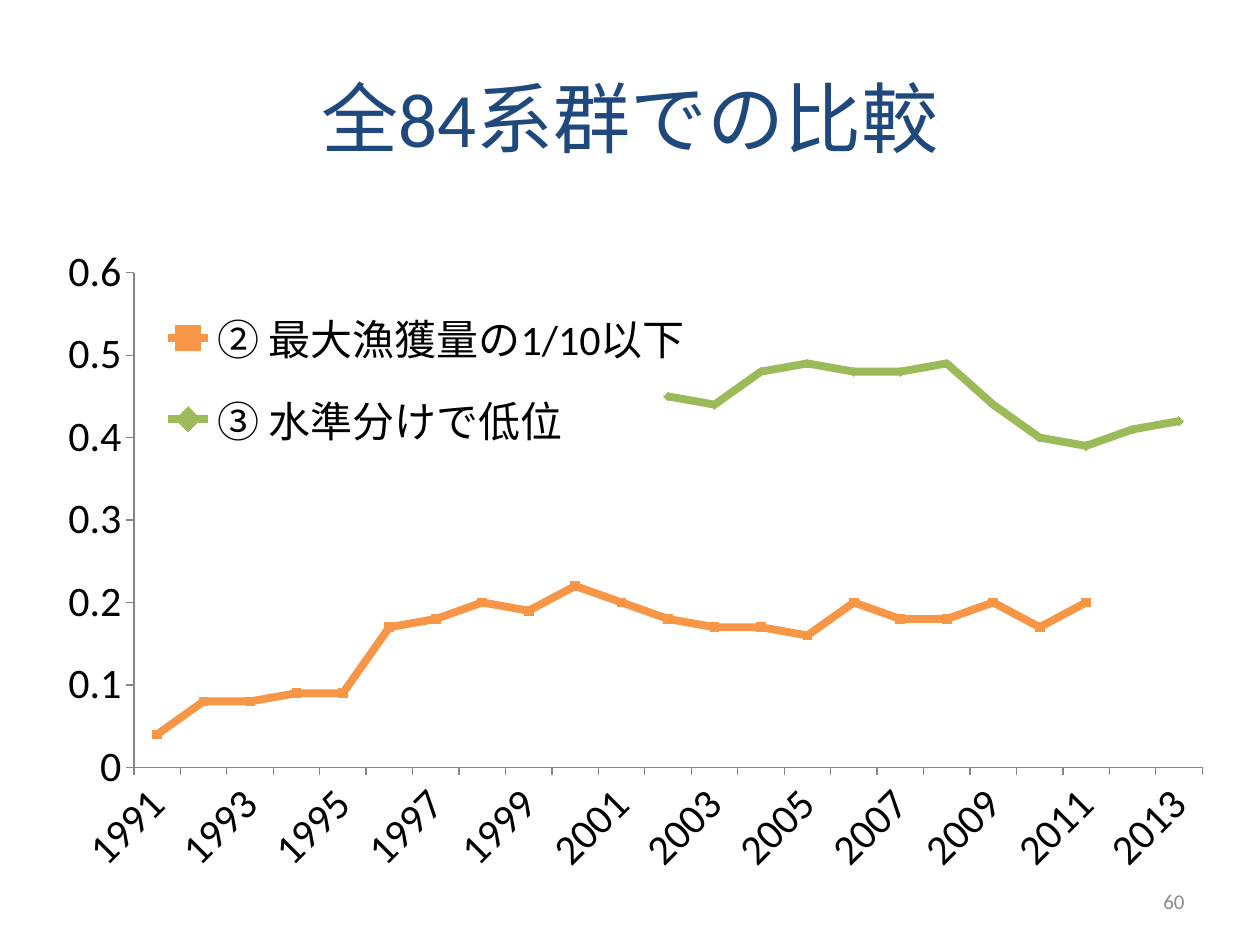
"""Build the slide comparing two depletion measures over all 84 stocks."""
from lxml.etree import SubElement
from pptx import Presentation
from pptx.chart.data import CategoryChartData
from pptx.dml.color import RGBColor
from pptx.enum.chart import XL_CHART_TYPE as ChartType, XL_LEGEND_POSITION as LegendPosition
from pptx.enum.chart import XL_MARKER_STYLE as Marker, XL_TICK_MARK as Tick
from pptx.enum.text import MSO_ANCHOR as Anchor, PP_ALIGN as Align
from pptx.oxml.ns import qn
from pptx.util import Cm, Pt

COLORS = {"title": "1F497D", "number": "8C8C8C", "text": "000000", "axis": "868686",
          "catch": "F79646", "level": "9BBB59"}
FONT = "Calibri"


def style(font, size, color):
    font.name = FONT
    font.size = Pt(size)
    font.color.rgb = RGBColor.from_string(COLORS[color])


def place(element, index, **fractions):
    for old in element.findall(qn("c:layout")):
        element.remove(old)
    layout = element.makeelement(qn("c:layout"), {})
    element.insert(index, layout)
    manual = SubElement(layout, qn("c:manualLayout"))
    for tag, value in fractions.items():
        SubElement(manual, qn(f"c:{tag}")).set("val", str(value))


prs = Presentation()
prs.slide_width, prs.slide_height = Cm(25.4), Cm(19.05)
slide = prs.slides.add_slide(prs.slide_layouts[5])

title = slide.shapes.title
title.left, title.top, title.width, title.height = Cm(1.27), Cm(0.76), Cm(22.86), Cm(3.18)
title.text_frame.text = "全84系群での比較"
title.text_frame.vertical_anchor = Anchor.MIDDLE
heading = title.text_frame.paragraphs[0]
heading.alignment = Align.CENTER
style(heading.runs[0].font, 44, "title")

page_number = slide.shapes.add_textbox(Cm(18.21), Cm(17.65), Cm(5.92), Cm(1.02)).text_frame
page_number.word_wrap = True
page_number.vertical_anchor = Anchor.MIDDLE
page_number.text = "60"
page_number.paragraphs[0].alignment = Align.RIGHT
style(page_number.paragraphs[0].runs[0].font, 12, "number")

level_share = [None] * 11 + [0.45, 0.44, 0.48, 0.49, 0.48, 0.48, 0.49, 0.44, 0.4, 0.39,
                             0.41, 0.42]
catch_share = [0.04, 0.08, 0.08, 0.09, 0.09, 0.17, 0.18, 0.2, 0.19, 0.22, 0.2, 0.18,
               0.17, 0.17, 0.16, 0.2, 0.18, 0.18, 0.2, 0.17, 0.2, None, None]
data = CategoryChartData()
data.categories = [str(year) for year in range(1991, 2014)]
data.add_series("③ 水準分けで低位", level_share)
data.add_series("② 最大漁獲量の1/10以下", catch_share)

chart = slide.shapes.add_chart(ChartType.LINE_MARKERS, Cm(0.89), Cm(4.72), Cm(23.8), Cm(13.21),
                               data).chart
chart.has_title = False
style(chart.font, 24, "text")
place(chart.plots[0]._element.getparent(), 0, layoutTarget="inner", xMode="edge", yMode="edge",
      x=0.076, y=0.059, w=0.905, h=0.755)

chart.plots[0].vary_by_categories = False
markers = [("level", Marker.DIAMOND), ("catch", Marker.SQUARE)]
for series, (measure, marker) in zip(chart.plots[0].series, markers):
    color = RGBColor.from_string(COLORS[measure])
    series.smooth = False
    series.format.line.width = Pt(4.5)
    series.format.line.color.rgb = color
    series.marker.style = marker
    series.marker.size = 5
    series.marker.format.fill.solid()
    series.marker.format.fill.fore_color.rgb = color
    series.marker.format.line.color.rgb = color
level, catch = chart.plots[0].series
catch._element.addnext(level._element)

years, share = chart.category_axis, chart.value_axis
for axis in (years, share):
    axis.has_major_gridlines = False
    axis.major_tick_mark = Tick.OUTSIDE
    axis.minor_tick_mark = Tick.NONE
    axis.format.line.color.rgb = RGBColor.from_string(COLORS["axis"])
    style(axis.tick_labels.font, 24, "text")
share.minimum_scale, share.maximum_scale, share.major_unit = 0, 0.6, 0.1
share.tick_labels.number_format = "General"
share.tick_labels.number_format_is_linked = False
years._element.find(qn("c:txPr")).find(qn("a:bodyPr")).set("rot", "-2700000")
label_skip = years._element.makeelement(qn("c:tickLblSkip"), {"val": "2"})
years._element.find(qn("c:noMultiLvlLbl")).addprevious(label_skip)

chart.has_legend = True
legend = chart.legend
legend.position = LegendPosition.RIGHT
legend.include_in_layout = True
style(legend.font, 24, "text")
place(legend._element, 1, xMode="edge", yMode="edge", x=0.074, y=0.08, w=0.5, h=0.28)

prs.save("out.pptx")
